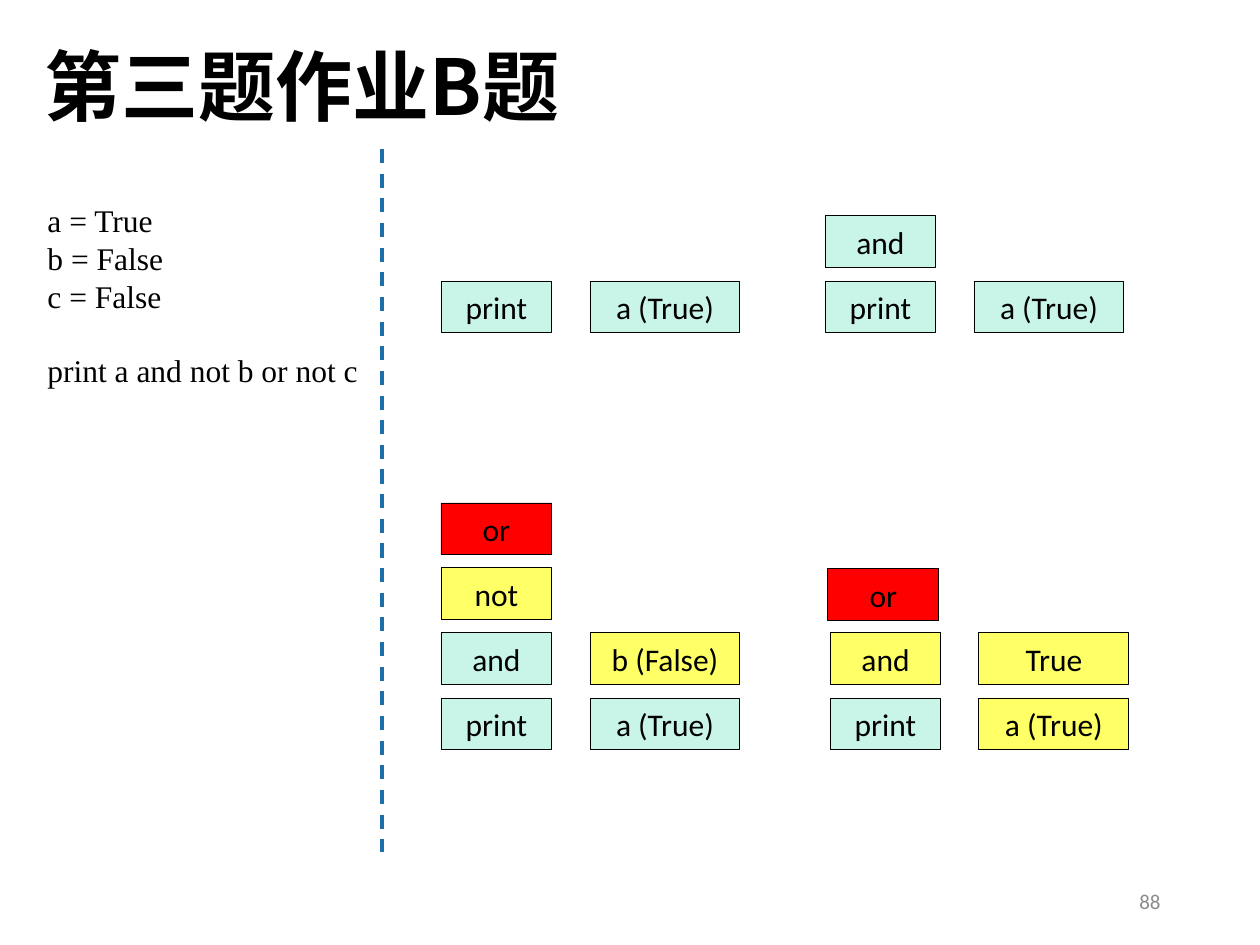
from pptx import Presentation
from pptx.dml.color import RGBColor
from pptx.enum.dml import MSO_LINE
from pptx.enum.shapes import MSO_CONNECTOR, MSO_SHAPE
from pptx.enum.text import MSO_ANCHOR, PP_ALIGN
from pptx.oxml.ns import qn
from pptx.util import Pt
from lxml import etree

RECT, LINE, DASH = MSO_SHAPE.RECTANGLE, MSO_CONNECTOR.STRAIGHT, MSO_LINE.DASH
TOP, MID = MSO_ANCHOR.TOP, MSO_ANCHOR.MIDDLE
LEFT, MIDST, RIGHT = PP_ALIGN.LEFT, PP_ALIGN.CENTER, PP_ALIGN.RIGHT
SCALE = 914400 / 126
MINT, LEMON, RED, BLACK = "C8F5E8", "FFFF66", "FF0000", "000000"
PITCH, HIGH = 65, 52
OP_W, VAL_W, VAL_DX = 111, 150, 149

STACKS = [
    (441, 281, [("print", MINT)], [("a (True)", MINT)]),
    (825, 281, [("print", MINT), ("and", MINT)], [("a (True)", MINT)]),
    (441, 698, [("print", MINT), ("and", MINT), ("not", LEMON), ("or", RED)],
     [("a (True)", MINT), ("b (False)", LEMON)]),
    (830, 698, [("print", MINT), ("and", LEMON)],
     [("a (True)", LEMON), ("True", LEMON)]),
]


def px(*vals):
    return [round(v * SCALE) for v in vals]


def color(code):
    return RGBColor.from_string(code)


def apply(obj, props):
    for key, val in props.items():
        setattr(obj, key, val)


def write(shape, lines, font, tint=BLACK, anchor=TOP, **para):
    frame = shape.text_frame
    apply(frame, {"word_wrap": True, "vertical_anchor": anchor})
    frame.text = "\n".join(lines)
    for par in frame.paragraphs:
        apply(par, para)
        run = par.runs[0]
        apply(run.font, font)
        run.font.color.rgb = color(tint)
        east = etree.SubElement(run.font._element, qn("a:ea"))
        east.set("typeface", font["name"])
    return frame


def add_title(slide, text):
    title = slide.shapes.title
    apply(title, dict(zip(("left", "top", "width", "height"), px(32, 43, 1086, 106))))
    font = {"name": "Noto Sans CJK SC", "size": Pt(44), "bold": True}
    write(title, [text], font, alignment=LEFT, line_spacing=0.9)


def add_text(slide, area, lines, font, **look):
    return write(slide.shapes.add_textbox(*px(*area)), lines, font, **look)


def add_box(slide, area, text, fill):
    box = slide.shapes.add_shape(RECT, *px(*area))
    box.shadow.inherit = False
    box.fill.solid()
    box.fill.fore_color.rgb = color(fill)
    box.line.color.rgb = color(BLACK)
    box.line.width = Pt(0.5)
    font = {"name": "Calibri", "size": Pt(18)}
    write(box, [text], font, anchor=MID, alignment=MIDST)


def add_stack(slide, left, base, width, items):
    for row, (text, fill) in enumerate(items):
        add_box(slide, (left, base - row * PITCH, width, HIGH), text, fill)


def add_rule(slide, ends):
    rule = slide.shapes.add_connector(LINE, *px(*ends))
    apply(rule.line, {"width": Pt(2), "dash_style": DASH})
    rule.line.color.rgb = color("1D6FA9")
    etree.SubElement(rule._element.spPr, qn("a:effectLst"))


def main():
    deck = Presentation()
    deck.slide_width, deck.slide_height = px(1260, 945)
    slide = deck.slides.add_slide(deck.slide_layouts[5])
    add_title(slide, "第三题作业B题")
    add_text(slide, (890, 876, 283, 50), ["88"],
             {"name": "Calibri", "size": Pt(12)},
             tint="8C8C8C", anchor=MID, alignment=RIGHT)
    code = ["a = True", "b = False", "c = False", "print a and not b or not c"]
    frame = add_text(slide, (35, 195, 348, 204), code,
                     {"name": "Times New Roman", "size": Pt(18)})
    frame.paragraphs[-1].space_before = Pt(21)
    add_rule(slide, (382, 149, 382, 852))
    for left, base, ops, vals in STACKS:
        add_stack(slide, left, base, OP_W, ops)
        add_stack(slide, left + VAL_DX, base, VAL_W, vals)
    add_box(slide, (828, 569, OP_W, HIGH), "or", RED)
    deck.save("out.pptx")


if __name__ == "__main__":
    main()
